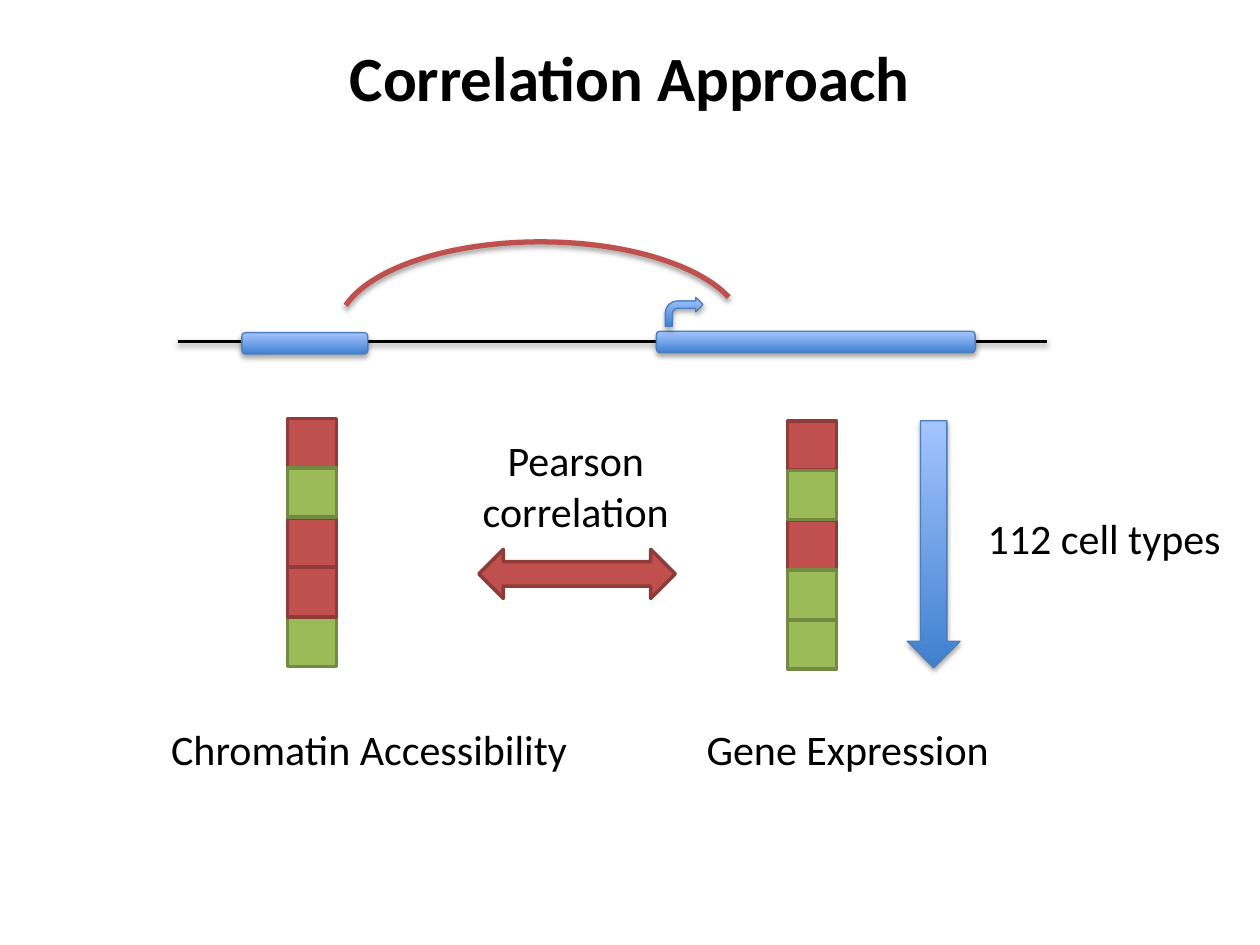
from dataclasses import dataclass

from lxml.etree import SubElement
from pptx import Presentation
from pptx.dml.color import RGBColor
from pptx.enum.shapes import MSO_CONNECTOR, MSO_SHAPE
from pptx.enum.text import MSO_ANCHOR, PP_ALIGN
from pptx.oxml.ns import qn
from pptx.util import Inches, Pt

COLORS = {
    "black": "000000",
    "red": "C0504D",
    "red line": "8E3B39",
    "green": "9BBB59",
    "green line": "738A42",
    "blue dark": "3F80CE",
    "blue light": "A4C4FF",
    "blue line": "4B7EBC",
}
CELL_SIZE = 0.39
CELL_STEP = 0.395
CELL_ORDER = (0, 4, 2, 3, 1)  # back to front, so borders overlap correctly


@dataclass
class Box:
    left: float
    top: float
    width: float
    height: float

    def lengths(self) -> tuple:
        return tuple(Inches(n) for n in (self.left, self.top, self.width, self.height))


@dataclass
class Label:
    lines: tuple
    box: Box
    size: int = 24
    bold: bool = False
    centered: bool = False


@dataclass
class Profile:
    left: float
    top: float
    cells: tuple


@dataclass
class GenomePart:
    kind: MSO_SHAPE
    box: Box


TITLE = Label(("Correlation Approach",), Box(0.5, 0.23, 9, 0.75), 36, True, True)
PEARSON = Label(("Pearson", "correlation"), Box(3.59, 3.4, 1.96, 0.91), centered=True)
CAPTIONS = (
    Label(("Gene Expression",), Box(5.51, 5.69, 2.51, 0.5)),
    Label(("Chromatin Accessibility",), Box(1.26, 5.69, 3.47, 0.5)),
    Label(("112 cell types",), Box(7.74, 4.02, 2.1, 0.5)),
)
PROFILES = (
    Profile(2.28, 3.32, ("red", "green", "red", "red", "green")),
    Profile(6.25, 3.34, ("red", "green", "red", "green", "green")),
)
CELL_TYPES_ARROW = GenomePart(MSO_SHAPE.DOWN_ARROW, Box(7.2, 3.34, 0.42, 1.96))
GENOME_PARTS = (
    GenomePart(MSO_SHAPE.ROUNDED_RECTANGLE, Box(1.92, 2.64, 1, 0.17)),
    GenomePart(MSO_SHAPE.ROUNDED_RECTANGLE, Box(5.21, 2.63, 2.53, 0.17)),
    GenomePart(MSO_SHAPE.BENT_ARROW, Box(5.28, 2.36, 0.3, 0.23)),
)


def rgb(name: str) -> RGBColor:
    return RGBColor.from_string(COLORS[name])


def set_line(shape, color: str, width: float) -> None:
    shape.line.color.rgb = rgb(color)
    shape.line.width = Pt(width)


def add_shadow(shape, distance: float, opacity: int) -> None:
    properties = shape._element.spPr
    effects = properties.find(qn("a:effectLst"))
    if effects is None:
        effects = SubElement(properties, qn("a:effectLst"))
    shadow = SubElement(effects, qn("a:outerShdw"), blurRad=str(Pt(3.1)),
                        dist=str(Pt(distance)), dir="5400000", rotWithShape="0")
    color = SubElement(shadow, qn("a:srgbClr"), val=COLORS["black"])
    SubElement(color, qn("a:alpha"), val=str(opacity * 1000))


def add_plain_shape(slide, kind: MSO_SHAPE, box: Box):
    shape = slide.shapes.add_shape(kind, *box.lengths())
    shape.shadow.inherit = False
    return shape


def add_flat_shape(slide, kind: MSO_SHAPE, box: Box, color: str) -> None:
    shape = add_plain_shape(slide, kind, box)
    shape.fill.solid()
    shape.fill.fore_color.rgb = rgb(color)
    set_line(shape, f"{color} line", 2)


def add_blue_shape(slide, part: GenomePart) -> None:
    shape = add_plain_shape(slide, part.kind, part.box)
    shape.fill.gradient()
    shape.fill.gradient_angle = 90
    for stop, position, color in zip(shape.fill.gradient_stops, (0, 1),
                                     ("blue dark", "blue light")):
        stop.position = position
        stop.color.rgb = rgb(color)
    set_line(shape, "blue line", 0.75)
    add_shadow(shape, 1.8, 35)


def add_label(slide, label: Label) -> None:
    frame = slide.shapes.add_textbox(*label.box.lengths()).text_frame
    frame.word_wrap = label.centered
    frame.vertical_anchor = MSO_ANCHOR.MIDDLE if label.bold else MSO_ANCHOR.TOP
    frame.text = "\n".join(label.lines)
    for paragraph in frame.paragraphs:
        paragraph.alignment = PP_ALIGN.CENTER if label.centered else PP_ALIGN.LEFT
        paragraph.font.name = "Calibri"
        paragraph.font.size = Pt(label.size)
        paragraph.font.bold = label.bold
        paragraph.font.color.rgb = rgb("black")


def add_profile(slide, profile: Profile) -> None:
    for row in CELL_ORDER:
        box = Box(profile.left, profile.top + row * CELL_STEP, CELL_SIZE, CELL_SIZE)
        add_flat_shape(slide, MSO_SHAPE.RECTANGLE, box, profile.cells[row])


def add_genome_line(slide) -> None:
    line = slide.shapes.add_connector(MSO_CONNECTOR.STRAIGHT, Inches(1.41), Inches(2.71),
                                      Inches(8.31), Inches(2.71))
    set_line(line, "black", 2)
    add_shadow(line, 1.6, 38)


def add_link_arc(slide) -> None:
    arc = add_plain_shape(slide, MSO_SHAPE.ARC, Box(2.68, 1.92, 3.22, 1.4))
    arc.adjustments[0] = 112.34
    arc.adjustments[1] = 210.06
    arc.fill.background()
    set_line(arc, "red", 3)
    add_shadow(arc, 1.6, 38)


def main() -> None:
    presentation = Presentation()
    presentation.slide_width = Inches(10)
    presentation.slide_height = Inches(7.5)
    slide = presentation.slides.add_slide(presentation.slide_layouts[6])

    add_label(slide, TITLE)

    # Cell profiles and the correlation between them
    for profile in PROFILES:
        add_profile(slide, profile)
    add_flat_shape(slide, MSO_SHAPE.LEFT_RIGHT_ARROW, Box(3.8, 4.36, 1.56, 0.39), "red")
    add_label(slide, PEARSON)
    add_blue_shape(slide, CELL_TYPES_ARROW)
    for caption in CAPTIONS:
        add_label(slide, caption)

    # Genome with regulatory element, gene and link
    add_genome_line(slide)
    for part in GENOME_PARTS:
        add_blue_shape(slide, part)
    add_link_arc(slide)

    presentation.save("out.pptx")


if __name__ == "__main__":
    main()
